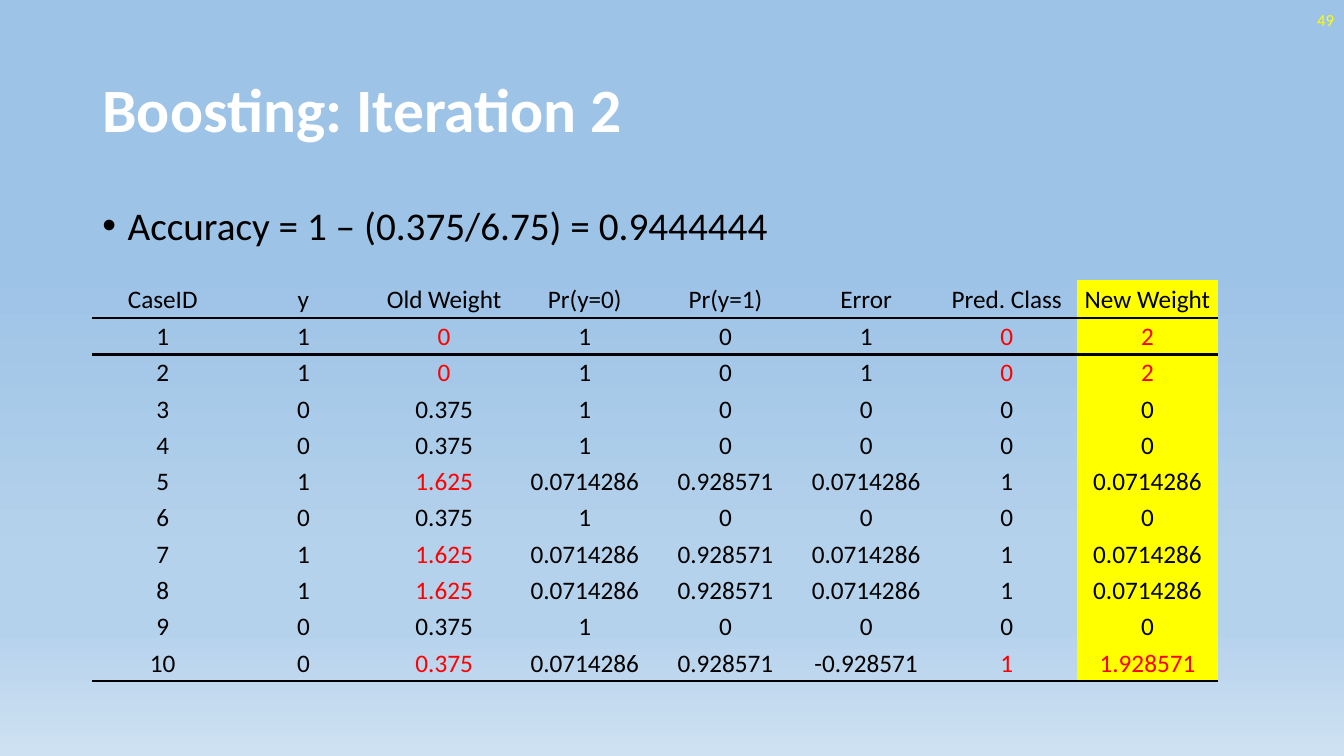
from dataclasses import dataclass

from lxml import etree
from pptx import Presentation
from pptx.dml.color import RGBColor
from pptx.enum.text import MSO_ANCHOR, MSO_AUTO_SIZE, PP_ALIGN
from pptx.oxml.ns import qn
from pptx.util import Pt

PX = 9525
LEFT, CENTER, RIGHT = PP_ALIGN.LEFT, PP_ALIGN.CENTER, PP_ALIGN.RIGHT
MIDDLE, TOP = MSO_ANCHOR.MIDDLE, MSO_ANCHOR.TOP
NO_AUTOFIT = MSO_AUTO_SIZE.NONE
NO_TABLE_STYLE = "{2D5ABB26-0587-4C30-8999-92F81FD0307C}"


@dataclass(frozen=True)
class Theme:
    font: str = "Calibri"
    title_size: int = 44
    body_size: int = 28
    table_size: int = 18
    number_size: int = 12
    text: str = "000000"
    title: str = "FFFFFF"
    alert: str = "FF0000"
    highlight: str = "FFFF00"
    rule_width: int = 2
    background: tuple = ((35, "9DC3E6"), (74, "B5D2EC"), (83, "B5D2EC"), (100, "CEE1F2"))


THEME = Theme()

HEADERS = ("CaseID", "y", "Old Weight", "Pr(y=0)", "Pr(y=1)", "Error", "Pred. Class", "New Weight")
CASES = (
    ("1", "1", "0", "1", "0", "1", "0", "2"),
    ("2", "1", "0", "1", "0", "1", "0", "2"),
    ("3", "0", "0.375", "1", "0", "0", "0", "0"),
    ("4", "0", "0.375", "1", "0", "0", "0", "0"),
    ("5", "1", "1.625", "0.0714286", "0.928571", "0.0714286", "1", "0.0714286"),
    ("6", "0", "0.375", "1", "0", "0", "0", "0"),
    ("7", "1", "1.625", "0.0714286", "0.928571", "0.0714286", "1", "0.0714286"),
    ("8", "1", "1.625", "0.0714286", "0.928571", "0.0714286", "1", "0.0714286"),
    ("9", "0", "0.375", "1", "0", "0", "0", "0"),
    ("10", "0", "0.375", "0.0714286", "0.928571", "-0.928571", "1", "1.928571"),
)
Y, OLD_WEIGHT, PREDICTED, NEW_WEIGHT = 1, 2, 6, 7


def scaled(box):
    return [length * PX for length in box]


def place(shape, box):
    shape.left, shape.top, shape.width, shape.height = scaled(box)


def write(text_frame, text, size, color, alignment, bold=False):
    text_frame.text = text
    paragraph = text_frame.paragraphs[0]
    paragraph.alignment = alignment
    font = paragraph.font
    font.name, font.size, font.bold = THEME.font, Pt(size), bold
    font.color.rgb = RGBColor.from_string(color)
    return paragraph


def paint_background(slide):
    fill = slide.background.fill
    fill.gradient()
    fill.gradient_angle = 270
    stops = next(slide.element.iter(qn("a:gsLst")))
    for stop in list(stops):
        stops.remove(stop)
    for percent, color in THEME.background:
        stop = etree.SubElement(stops, qn("a:gs"), pos=str(percent * 1000))
        etree.SubElement(stop, qn("a:srgbClr"), val=color)


def add_title(slide, box, text):
    title = slide.shapes.title
    place(title, box)
    frame = title.text_frame
    frame.auto_size, frame.vertical_anchor = NO_AUTOFIT, MIDDLE
    write(frame, text, THEME.title_size, THEME.title, LEFT, bold=True).line_spacing = 0.9


def add_body(slide, box, text):
    body = slide.placeholders[1]
    place(body, box)
    frame = body.text_frame
    frame.auto_size, frame.vertical_anchor = NO_AUTOFIT, TOP
    paragraph = write(frame, text, THEME.body_size, THEME.text, LEFT)
    paragraph.line_spacing, paragraph.space_before = 0.9, Pt(10)
    properties = next(body.element.iter(qn("a:pPr")))
    properties.set("marL", str(24 * PX))
    properties.set("indent", str(-24 * PX))


def add_slide_number(slide, box, text):
    frame = slide.shapes.add_textbox(*scaled(box)).text_frame
    frame.word_wrap, frame.vertical_anchor = True, MIDDLE
    write(frame, text, THEME.number_size, THEME.highlight, RIGHT)


def add_border(cell, side):
    properties = cell._tc.get_or_add_tcPr()
    line = etree.SubElement(properties, qn(side), w=str(Pt(THEME.rule_width)))
    fill = etree.SubElement(line, qn("a:solidFill"))
    etree.SubElement(fill, qn("a:srgbClr"), val=THEME.text)


def alert_columns(case):
    """Columns in red: the misclassified case's weights and class, and every positive's old weight."""
    if case[Y] != case[PREDICTED]:
        return {OLD_WEIGHT, PREDICTED, NEW_WEIGHT}
    return {OLD_WEIGHT} if case[Y] == "1" else set()


def add_case_table(slide, box, header_height):
    rows = (HEADERS, *CASES)
    frame = slide.shapes.add_table(len(rows), len(HEADERS), *scaled(box))
    table = frame.table
    table.first_row = table.horz_banding = False
    next(frame.element.iter(qn("a:tableStyleId"))).text = NO_TABLE_STYLE
    for column in table.columns:
        column.width = box[2] * PX // len(HEADERS)
    for row in table.rows:
        row.height = (box[3] - header_height) * PX // len(CASES)
    table.rows[0].height = header_height * PX

    for row_index, values in enumerate(rows):
        alerts = alert_columns(values) if row_index else set()
        for column_index, value in enumerate(values):
            cell = table.cell(row_index, column_index)
            color = THEME.alert if column_index in alerts else THEME.text
            write(cell.text_frame, value, THEME.table_size, color, CENTER)
            cell.vertical_anchor = MIDDLE
            cell.margin_left = cell.margin_right = cell.margin_top = PX
            cell.margin_bottom = 0
            if row_index == 1:
                add_border(cell, "a:lnT")
            if row_index in (0, len(CASES)):
                add_border(cell, "a:lnB")
            if column_index == NEW_WEIGHT:
                cell.fill.solid()
                cell.fill.fore_color.rgb = RGBColor.from_string(THEME.highlight)
            else:
                cell.fill.background()


def main():
    presentation = Presentation()
    presentation.slide_width, presentation.slide_height = scaled((1280, 720))
    slide = presentation.slides.add_slide(presentation.slide_layouts[1])
    paint_background(slide)
    add_body(slide, (88, 192, 1104, 457), "Accuracy = 1 – (0.375/6.75) = 0.9444444")
    add_title(slide, (88, 38, 1104, 139), "Boosting: Iteration 2")
    add_slide_number(slide, (992, 0, 288, 38), "49")
    add_case_table(slide, (88, 267, 1072, 382), header_height=36)
    presentation.save("out.pptx")


if __name__ == "__main__":
    main()
